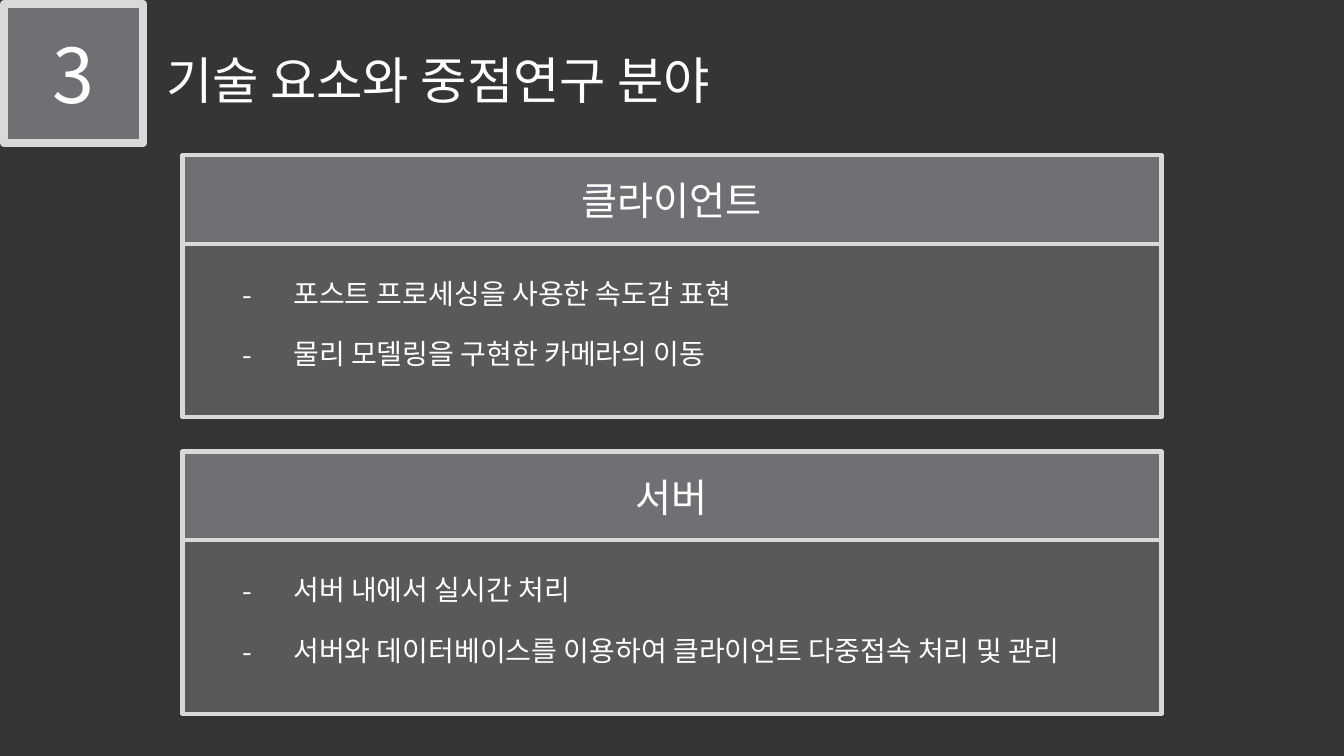
from dataclasses import dataclass

from lxml import etree
from pptx import Presentation
from pptx.dml.color import RGBColor
from pptx.enum.shapes import MSO_SHAPE
from pptx.enum.text import MSO_ANCHOR, PP_ALIGN
from pptx.oxml.ns import qn
from pptx.util import Inches, Pt

RECT = MSO_SHAPE.RECTANGLE
TOP, MIDDLE = MSO_ANCHOR.TOP, MSO_ANCHOR.MIDDLE
LEFT, CENTER = PP_ALIGN.LEFT, PP_ALIGN.CENTER

FONT = "Noto Sans CJK KR"
WHITE, BORDER = "FFFFFF", "D9D9D9"
HEADER_FILL, BODY_FILL, BACKGROUND = "6F6F74", "595959", "353537"

PANEL_LEFT, PANEL_WIDTH = 1.81, 9.71
HEADER_HEIGHT, BODY_OFFSET, BODY_HEIGHT = 0.89, 0.88, 1.72


@dataclass
class Panel:
    top: float
    heading: str
    items: list[str]


PANELS = [
    Panel(1.54, "클라이언트", [
        "포스트 프로세싱을 사용한 속도감 표현",
        "물리 모델링을 구현한 카메라의 이동",
    ]),
    Panel(4.48, "서버", [
        "서버 내에서 실시간 처리",
        "서버와 데이터베이스를 이용하여 클라이언트 다중접속 처리 및 관리",
    ]),
]


def rgb(color: str) -> RGBColor:
    return RGBColor.from_string(color)


def add_box(s, left: float, top: float, width: float, height: float,
            fill: str, line_width: float):
    sp = s.shapes.add_shape(RECT, Inches(left), Inches(top), Inches(width), Inches(height))
    sp.shadow.inherit = False
    sp.fill.solid()
    sp.fill.fore_color.rgb = rgb(fill)
    sp.line.color.rgb = rgb(BORDER)
    sp.line.width = Pt(line_width)
    return sp


def write(p, text: str, size: float, align=LEFT) -> None:
    p.alignment = align
    r = p.add_run()
    r.text = text
    for name, value in {"name": FONT, "size": Pt(size)}.items():
        setattr(r.font, name, value)
    r.font.color.rgb = rgb(WHITE)
    # East Asian text needs its own typeface entry
    etree.SubElement(r.font._element, qn("a:ea"), typeface=FONT)


def add_label(s, left: float, top: float, width: float, height: float,
              text: str, size: float, line_width: float) -> None:
    sp = add_box(s, left, top, width, height, HEADER_FILL, line_width)
    sp.text_frame.vertical_anchor = MIDDLE
    write(sp.text_frame.paragraphs[0], text, size, CENTER)


def add_dash(p) -> None:
    pPr = p._p.get_or_add_pPr()
    pPr.set("marL", str(Inches(1)))
    pPr.set("indent", str(-Inches(0.5)))
    etree.SubElement(pPr, qn("a:buFont"), typeface=FONT)
    etree.SubElement(pPr, qn("a:buChar"), char="-")


def add_panel(s, panel: Panel) -> None:
    add_label(s, PANEL_LEFT, panel.top, PANEL_WIDTH, HEADER_HEIGHT, panel.heading, 28, 3)
    sp = add_box(s, PANEL_LEFT, panel.top + BODY_OFFSET, PANEL_WIDTH, BODY_HEIGHT, BODY_FILL, 3)
    tf = sp.text_frame
    tf.vertical_anchor = TOP
    tf.margin_top = Inches(0.32)
    for i, item in enumerate(panel.items):
        p = tf.add_paragraph() if i else tf.paragraphs[0]
        add_dash(p)
        if i:
            p.space_before = Pt(19.3)
        write(p, item, 20)


def main() -> None:
    prs = Presentation()
    prs.slide_width, prs.slide_height = Inches(13.33), Inches(7.5)
    s = prs.slides.add_slide(prs.slide_layouts[6])
    s.background.fill.solid()
    s.background.fill.fore_color.rgb = rgb(BACKGROUND)

    # Section number and title
    add_label(s, 0.04, 0.04, 1.38, 1.38, "3", 54, 6)
    tf = s.shapes.add_textbox(Inches(1.55), Inches(0.43), Inches(7.66), Inches(0.71)).text_frame
    tf.word_wrap = True
    tf.vertical_anchor = MIDDLE
    write(tf.paragraphs[0], "기술 요소와 중점연구 분야", 36)

    # Topic panels
    for panel in PANELS:
        add_panel(s, panel)

    prs.save("out.pptx")


if __name__ == "__main__":
    main()
